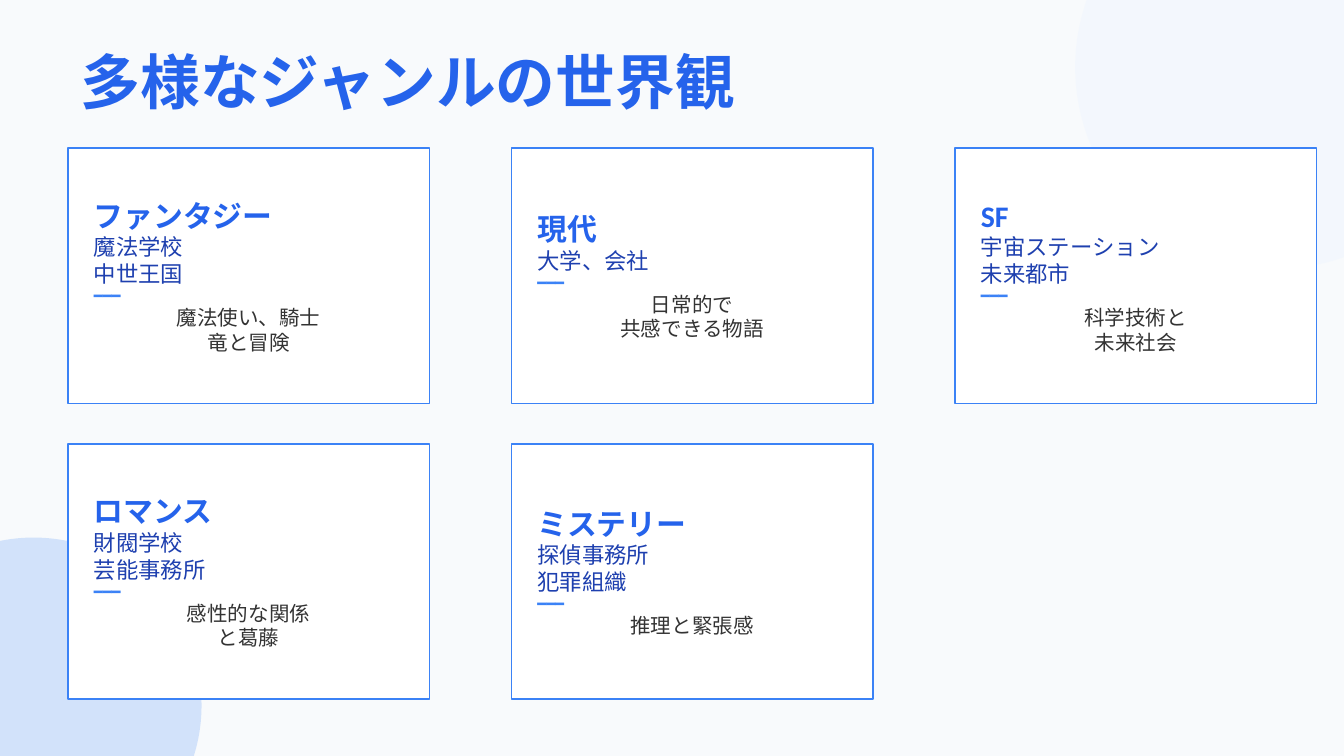
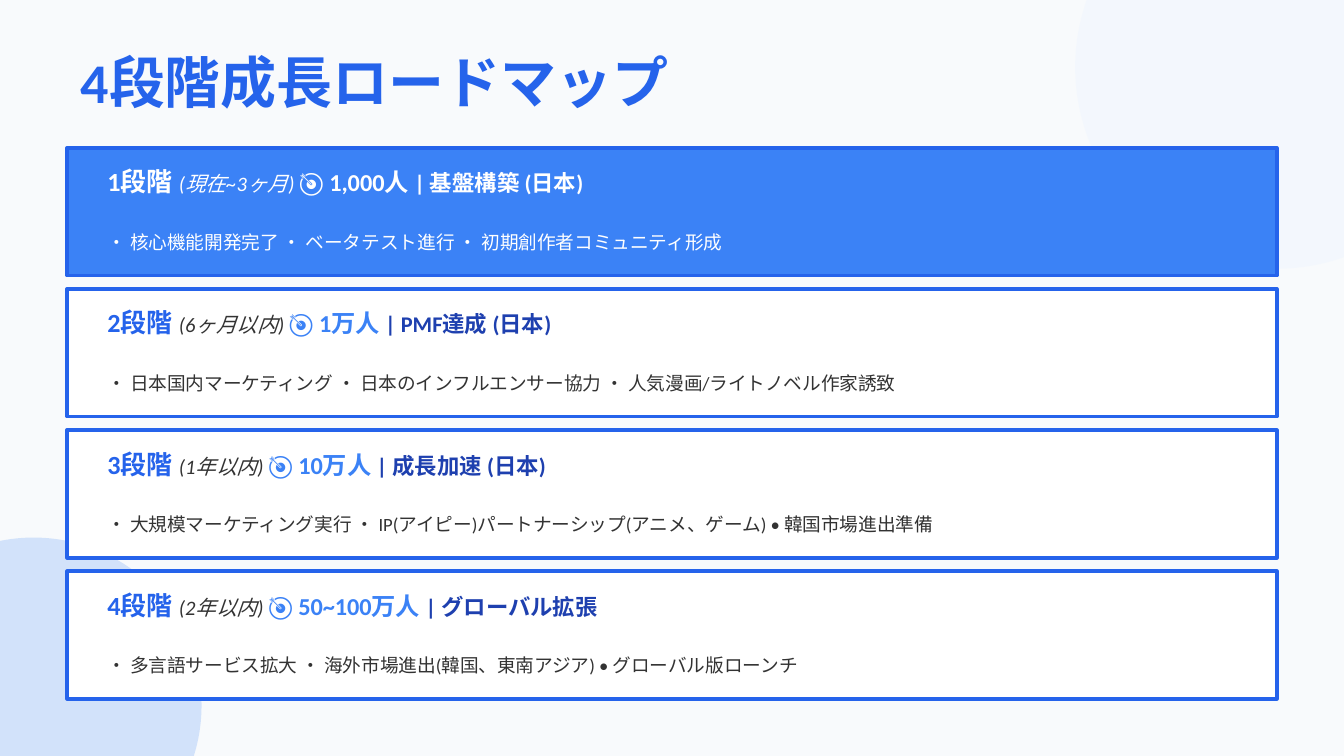
from lxml import etree
from pptx import Presentation
from pptx.dml.color import RGBColor
from pptx.enum.shapes import MSO_SHAPE
from pptx.enum.text import MSO_ANCHOR, MSO_AUTO_SIZE, PP_ALIGN
from pptx.oxml.ns import qn
from pptx.util import Pt

RECT, OVAL = MSO_SHAPE.RECTANGLE, MSO_SHAPE.OVAL
LEFT, CENTER = PP_ALIGN.LEFT, PP_ALIGN.CENTER
MIDDLE, NO_FIT = MSO_ANCHOR.MIDDLE, MSO_AUTO_SIZE.NONE

# Shared look
FONT = "Calibri"
BLUE, BRIGHT, NAVY = "2563EB", "3B82F6", "1E40AF"
INK, WHITE, PAPER, PALE = "333333", "FFFFFF", "F8FAFC", "EFF6FF"
SLIDE_W, SLIDE_H = 720, 405
TITLE_BOX = (36, 21.6, 648, 43.2)
BACKDROP = [  # shape, box, fill, opacity in percent
    (RECT, (0, 0, SLIDE_W, SLIDE_H), PAPER, 100),
    (OVAL, (576, -72, 216, 216), PALE, 50),
    (OVAL, (-72, 288, 180, 180), BRIGHT, 20),
]

# Slide 1: genre, settings, description
GENRE_TITLE = "多様なジャンルの世界観"
GENRES = [
    ("ファンタジー", ["魔法学校", "中世王国"], ["魔法使い、騎士", "竜と冒険"]),
    ("現代", ["大学、会社"], ["日常的で", "共感できる物語"]),
    ("SF", ["宇宙ステーション", "未来都市"], ["科学技術と", "未来社会"]),
    ("ロマンス", ["財閥学校", "芸能事務所"], ["感性的な関係", "と葛藤"]),
    ("ミステリー", ["探偵事務所", "犯罪組織"], ["推理と緊張感"]),
]
GENRE_RULE = "━━━"
GRID_COLS = 3
GRID_LEFT, GRID_TOP = 36.4, 79.4
GRID_DX, GRID_DY = 237.6, 158.4
CARD_W, CARD_H = 193.7, 136.8
CARD_PAD = 6.8

# Slide 2: stage, period, goal, theme, actions
ROADMAP_TITLE = "4段階成長ロードマップ"
STAGES = [
    ("1段階", "(現在~3ヶ月)", "1,000人", "基盤構築 (日本)",
     ["核心機能開発完了", "ベータテスト進行", "初期創作者コミュニティ形成"]),
    ("2段階", "(6ヶ月以内)", "1万人", "PMF達成 (日本)",
     ["日本国内マーケティング", "日本のインフルエンサー協力",
      "人気漫画/ライトノベル作家誘致"]),
    ("3段階", "(1年以内)", "10万人", "成長加速 (日本)",
     ["大規模マーケティング実行",
      "IP(アイピー)パートナーシップ(アニメ、ゲーム)", "韓国市場進出準備"]),
    ("4段階", "(2年以内)", "50~100万人", "グローバル拡張",
     ["多言語サービス拡大", "海外市場進出(韓国、東南アジア)",
      "グローバル版ローンチ"]),
]
BAND_LEFT, BAND_TOP, BAND_DY = 36, 79.2, 75.6
BAND_W, BAND_H = 648, 68.4
BAND_TEXT_LEFT, BAND_TEXT_W = 50.4, 619.2


def rgb(color):
    return RGBColor.from_string(color)


def fmt(size, color, **more):
    return {"name": FONT, "size": Pt(size), "color": color, **more}


def add_box(s, kind, box, fill, line=None, width=1, opacity=100):
    sp = s.shapes.add_shape(kind, *map(Pt, box))
    sp.shadow.inherit = False
    sp.fill.solid()
    sp.fill.fore_color.rgb = rgb(fill)
    if opacity < 100:
        color = sp.element.find(".//" + qn("a:srgbClr"))
        etree.SubElement(color, qn("a:alpha"), val=str(opacity * 1000))
    if line:
        sp.line.color.rgb = rgb(line)
        sp.line.width = Pt(width)
    else:
        sp.line.fill.background()


def write(tf, paragraphs):
    """Fill a frame with (alignment, [(text, format), ...]) paragraphs."""
    tf.word_wrap = True
    tf.auto_size = NO_FIT
    tf.vertical_anchor = MIDDLE
    for i, (align, runs) in enumerate(paragraphs):
        p = tf.add_paragraph() if i else tf.paragraphs[0]
        p.alignment = align
        for text, values in runs:
            r = p.add_run()
            r.text = text
            for key, value in values.items():
                if key == "color":
                    r.font.color.rgb = rgb(value)
                else:
                    setattr(r.font, key, value)


def add_text(s, box, paragraphs):
    write(s.shapes.add_textbox(*map(Pt, box)).text_frame, paragraphs)


def add_slide(prs, title, size):
    s = prs.slides.add_slide(prs.slide_layouts[5])
    for kind, box, fill, opacity in BACKDROP:
        add_box(s, kind, box, fill, opacity=opacity)
    # Bring the title in front of the backdrop
    sp = s.shapes.title
    sp.element.getparent().append(sp.element)
    sp.left, sp.top, sp.width, sp.height = map(Pt, TITLE_BOX)
    write(sp.text_frame, [(LEFT, [(title, fmt(size, BLUE, bold=True))])])
    return s


def genre_slide(prs):
    s = add_slide(prs, GENRE_TITLE, 32)
    for i, (genre, settings, description) in enumerate(GENRES):
        row, col = divmod(i, GRID_COLS)
        x, y = GRID_LEFT + col * GRID_DX, GRID_TOP + row * GRID_DY
        add_box(s, RECT, (x, y, CARD_W, CARD_H), WHITE, BRIGHT)
        lines = [(LEFT, genre, fmt(16, BLUE, bold=True))]
        lines += [(LEFT, text, fmt(12, NAVY)) for text in settings]
        lines += [(LEFT, GENRE_RULE, fmt(8, BRIGHT))]
        lines += [(CENTER, text, fmt(11, INK)) for text in description]
        add_text(s, (x + CARD_PAD, y + CARD_PAD,
                     CARD_W - 2 * CARD_PAD, CARD_H - 2 * CARD_PAD),
                 [(align, [(text, values)]) for align, text, values in lines])


def roadmap_slide(prs):
    s = add_slide(prs, ROADMAP_TITLE, 30)
    for i, (stage, period, goal, theme, actions) in enumerate(STAGES):
        y = BAND_TOP + i * BAND_DY
        # The current stage is a solid band with white text
        if i == 0:
            fill, main, body, accent, dark = BRIGHT, WHITE, WHITE, WHITE, WHITE
        else:
            fill, main, body, accent, dark = WHITE, BLUE, INK, BRIGHT, NAVY
        add_box(s, RECT, (BAND_LEFT, y, BAND_W, BAND_H), fill, BLUE, 2)
        heading = [
            (f"{stage} ", fmt(14, main, bold=True)),
            (f"{period} ", fmt(11, body, italic=True)),
            (f"🎯 {goal} ", fmt(13, accent, bold=True)),
            (f"| {theme}", fmt(12, dark, bold=True)),
        ]
        detail = " ".join(f"• {action}" for action in actions)
        add_text(s, (BAND_TEXT_LEFT, y + 7.2, BAND_TEXT_W, 21.6),
                 [(LEFT, heading)])
        add_text(s, (BAND_TEXT_LEFT, y + 36, BAND_TEXT_W, 28.8),
                 [(LEFT, [(detail, fmt(10, body))])])


def main():
    prs = Presentation()
    prs.slide_width, prs.slide_height = Pt(SLIDE_W), Pt(SLIDE_H)
    genre_slide(prs)
    roadmap_slide(prs)
    prs.save("out.pptx")


if __name__ == "__main__":
    main()
